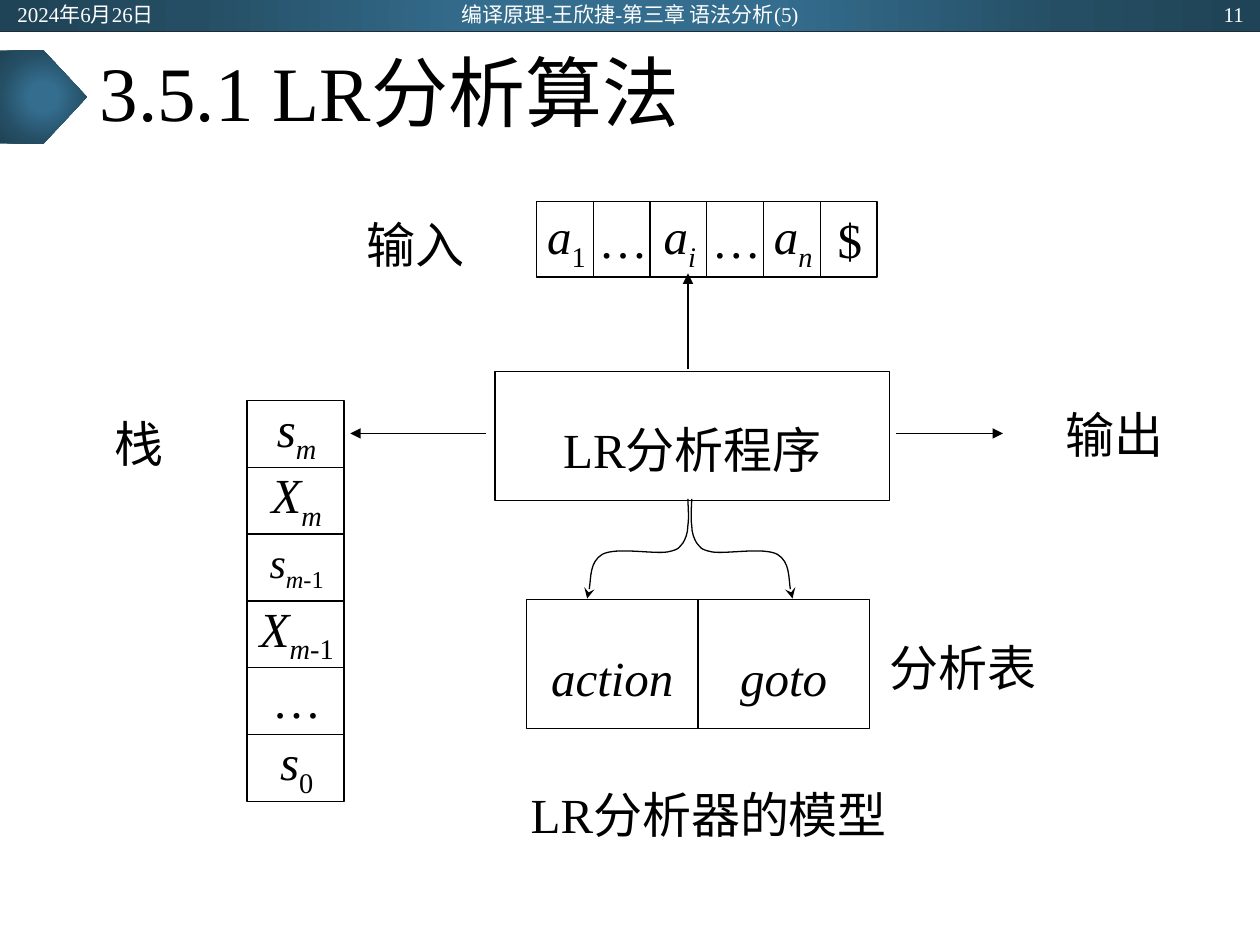
import pptx
import pptx.dml.color
import pptx.enum.shapes
import pptx.enum.text
import pptx.oxml
import pptx.oxml.ns
import pptx.util
from lxml import etree

Inches = pptx.util.Inches
Shapes = pptx.enum.shapes.MSO_SHAPE
Align = pptx.enum.text.PP_ALIGN
qn = pptx.oxml.ns.qn

BLACK = "000000"
WHITE = "FFFFFF"
GRADIENT = ((0, "346D8E"), (23, "346D8E"), (69, "254E64"), (97, "204457"))
TEXT_INSETS = (0.1, 0.05, 0.1, 0.05)
BOX_INSETS = (0.1, 0.11, 0.1, 0.05)
STACK_INSETS = (0.04, 0, 0.02, 0.04)
INPUT_INSETS = (0.04, 0.01, 0.02, 0.01)


def color(value):
    return pptx.dml.color.RGBColor.from_string(value)


def apply(target, values):
    for name, value in values.items():
        setattr(target, name, value)


def symbol(base, *subscripts):
    return [(base, True, False)] + [(text, italic, True) for text, italic in subscripts]


class SlideBuilder:
    font_name = "Times New Roman"
    text_size = 28
    line_width = 0.75

    def __init__(self, slide):
        self.slide = slide
        self.shapes = slide.shapes

    def place(self, shape, at):
        names = ("left", "top", "width", "height")
        apply(shape, dict(zip(names, map(Inches, at))))

    def set_text(self, shape, runs, size=None, fill=BLACK, align=Align.CENTER,
                 insets=TEXT_INSETS, spacing=1.0, wrap=True):
        frame = shape.text_frame
        margins = ("margin_left", "margin_top", "margin_right", "margin_bottom")
        apply(frame, dict(zip(margins, map(Inches, insets))))
        apply(frame, {
            "word_wrap": wrap,
            "auto_size": pptx.enum.text.MSO_AUTO_SIZE.NONE,
            "vertical_anchor": pptx.enum.text.MSO_ANCHOR.MIDDLE,
        })
        paragraph = frame.paragraphs[0]
        apply(paragraph, {"alignment": align, "line_spacing": spacing})
        if isinstance(runs, str):
            runs = [(runs, False, False)]
        for text, italic, subscript in runs:
            run = paragraph.add_run()
            run.text = text
            apply(run.font, {
                "name": self.font_name,
                "size": pptx.util.Pt(size or self.text_size),
                "italic": italic,
            })
            run.font.color.rgb = color(fill)
            if subscript:
                run.font._element.set("baseline", "-25000")

    def outline(self, shape, width=None, fill=BLACK, arrow=None):
        shape.line.color.rgb = color(fill)
        shape.line.width = pptx.util.Pt(width or self.line_width)
        if arrow:
            line = shape.line._get_or_add_ln()
            etree.SubElement(line, qn("a:tailEnd"), type=arrow)

    def title(self, text, at):
        shape = self.shapes.title
        self.place(shape, at)
        self.set_text(shape, text, size=44, align=Align.LEFT, spacing=0.9)

    def label(self, text, at, **style):
        self.set_text(self.shapes.add_textbox(*map(Inches, at)), text, **style)

    def box(self, runs, at, **style):
        shape = self.shapes.add_shape(Shapes.RECTANGLE, *map(Inches, at))
        shape.shadow.inherit = False
        shape.fill.background()
        self.outline(shape)
        self.set_text(shape, runs, **style)

    def gradient_shape(self, kind, at):
        shape = self.shapes.add_shape(kind, *map(Inches, at))
        shape.shadow.inherit = False
        shape.line.fill.background()
        shape.fill.solid()
        stops = "".join(
            f'<a:gs pos="{position * 1000}"><a:srgbClr val="{value}"/></a:gs>'
            for position, value in GRADIENT)
        gradient = pptx.oxml.parse_xml(
            f'<a:gradFill {pptx.oxml.ns.nsdecls("a")}><a:gsLst>{stops}</a:gsLst>'
            '<a:path path="circle"><a:fillToRect l="50000" t="50000" r="50000" b="50000"/>'
            '</a:path></a:gradFill>')
        properties = shape._element.spPr
        properties.replace(properties.find(qn("a:solidFill")), gradient)

    def line(self, start, end, **style):
        connector = self.shapes.add_connector(
            pptx.enum.shapes.MSO_CONNECTOR.STRAIGHT, *map(Inches, start + end))
        self.outline(connector, **style)
        etree.SubElement(connector._element.spPr, qn("a:effectLst"))

    def curve(self, points):
        start, *rest = [(Inches(x), Inches(y)) for x, y in points]
        builder = self.shapes.build_freeform(*start)
        builder.add_line_segments(rest, close=False)
        shape = builder.convert_to_shape()
        shape.shadow.inherit = False
        shape.fill.background()
        self.outline(shape, arrow="stealth")
        segments = list(shape._element.iter(qn("a:lnTo")))
        parent = segments[0].getparent()
        for first in range(0, len(segments), 3):
            bezier = etree.SubElement(parent, qn("a:cubicBezTo"))
            for segment in segments[first:first + 3]:
                bezier.append(segment[0])
                parent.remove(segment)


def main():
    presentation = pptx.Presentation()
    apply(presentation, {"slide_width": Inches(10), "slide_height": Inches(7.5)})
    builder = SlideBuilder(presentation.slides.add_slide(presentation.slide_layouts[5]))

    builder.gradient_shape(Shapes.RECTANGLE, (0, 0, 10, 0.25))
    builder.line((0, 0.25), (10, 0.25), width=0.5, fill="222A35")
    builder.gradient_shape(Shapes.PENTAGON, (0, 0.4, 0.69, 0.74))
    builder.title("3.5.1 LR分析算法", (0.69, 0.25, 8.62, 1.04))

    for text, left, width, align in (
        ("2024年6月26日", 0.04, 2.25, Align.LEFT),
        ("编译原理-王欣捷-第三章 语法分析(5)", 3.31, 3.38, Align.CENTER),
        ("11", 7.72, 2.25, Align.RIGHT),
    ):
        builder.label(text, (left, 0.01, width, 0.2), size=12, fill=WHITE, align=align)

    for text, at in (
        ("输入", (2.73, 1.6, 1.13, 0.67)),
        ("输出", (8.28, 3.11, 1.13, 0.67)),
        ("栈", (0.54, 3.18, 1.13, 0.67)),
        ("LR分析器的模型", (2.38, 6.1, 6.49, 0.72)),
    ):
        builder.label(text, at)
    builder.label("分析表", (6.96, 5.01, 1.38, 0.57), align=Align.LEFT, wrap=False)

    for runs, at in (
        ("LR分析程序", (3.93, 2.95, 3.13, 1.02)),
        (symbol("action"), (4.18, 4.76, 1.36, 1.02)),
        (symbol("goto"), (5.54, 4.76, 1.36, 1.02)),
    ):
        builder.box(runs, at, insets=BOX_INSETS, spacing=1.3)

    input_cells = (symbol("a", ("1", False)), "…", symbol("a", ("i", True)),
                   "…", symbol("a", ("n", True)), "$")
    for index, runs in enumerate(input_cells):
        builder.box(runs, (4.26 + 0.45 * index, 1.6, 0.45, 0.6), insets=INPUT_INSETS)

    top_index = ("m", True)
    previous_index = (top_index, ("-1", False))
    stack_cells = (
        (symbol("s", top_index), 28),
        (symbol("X", top_index), 28),
        (symbol("s", *previous_index), 24),
        (symbol("X", *previous_index), 28),
        ("…", 28),
        (symbol("s", ("0", False)), 28),
    )
    for index, (runs, size) in enumerate(stack_cells):
        builder.box(runs, (1.96, 3.18 + 0.53 * index, 0.77, 0.53),
                    size=size, insets=STACK_INSETS)

    for start, end in (
        ((5.46, 2.93), (5.46, 2.17)),
        ((7.11, 3.44), (7.96, 3.44)),
        ((3.86, 3.44), (2.78, 3.44)),
    ):
        builder.line(start, end, arrow="triangle")

    action_curve = (
        (5.46, 3.96), (5.46, 4), (5.47, 4.11), (5.46, 4.17),
        (5.46, 4.23), (5.44, 4.28), (5.42, 4.31),
        (5.39, 4.34), (5.4, 4.36), (5.3, 4.38),
        (5.19, 4.4), (4.89, 4.34), (4.78, 4.4),
        (4.68, 4.46), (4.69, 4.68), (4.66, 4.75),
    )
    builder.curve(action_curve)
    builder.curve([(10.95 - x, y) for x, y in action_curve])

    presentation.save("out.pptx")


if __name__ == "__main__":
    main()
